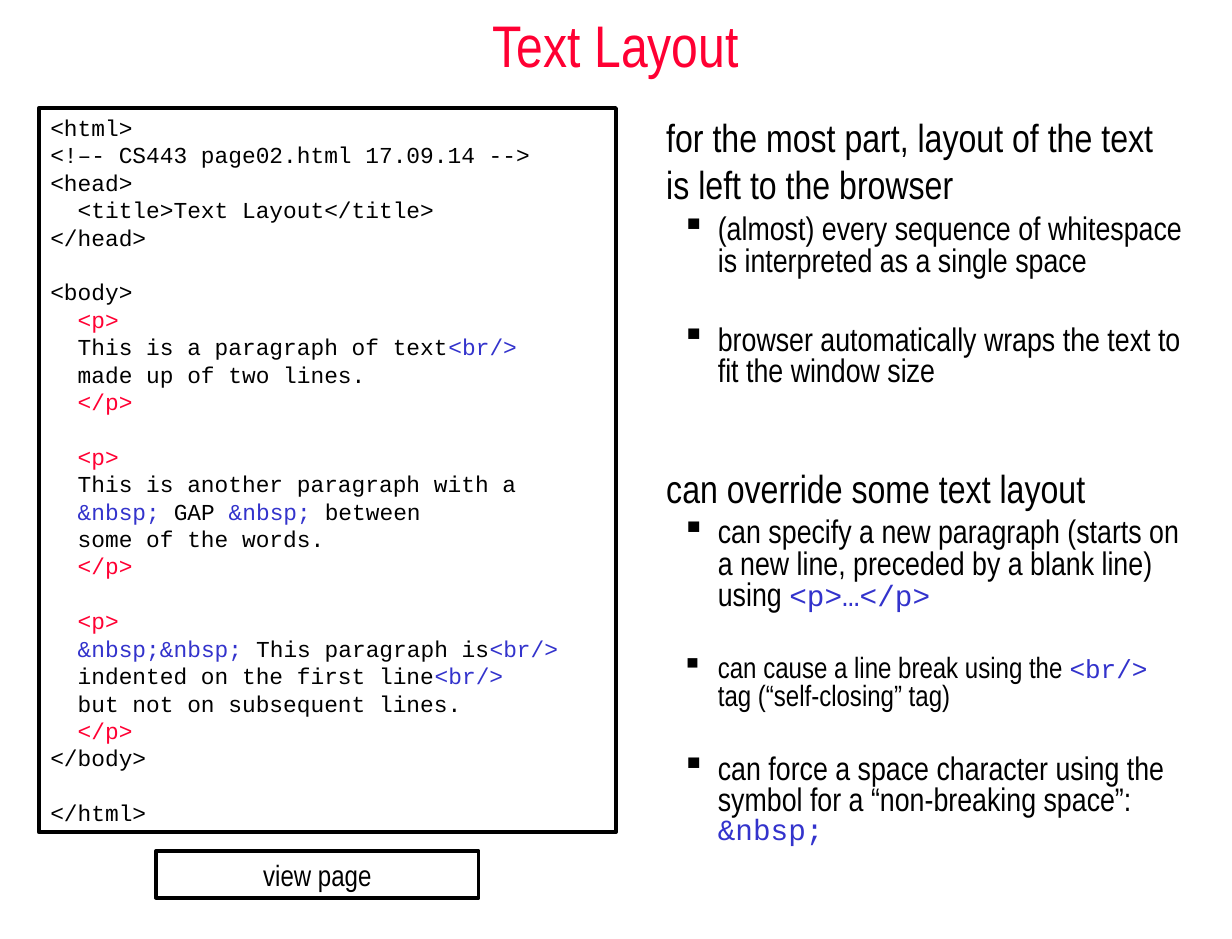
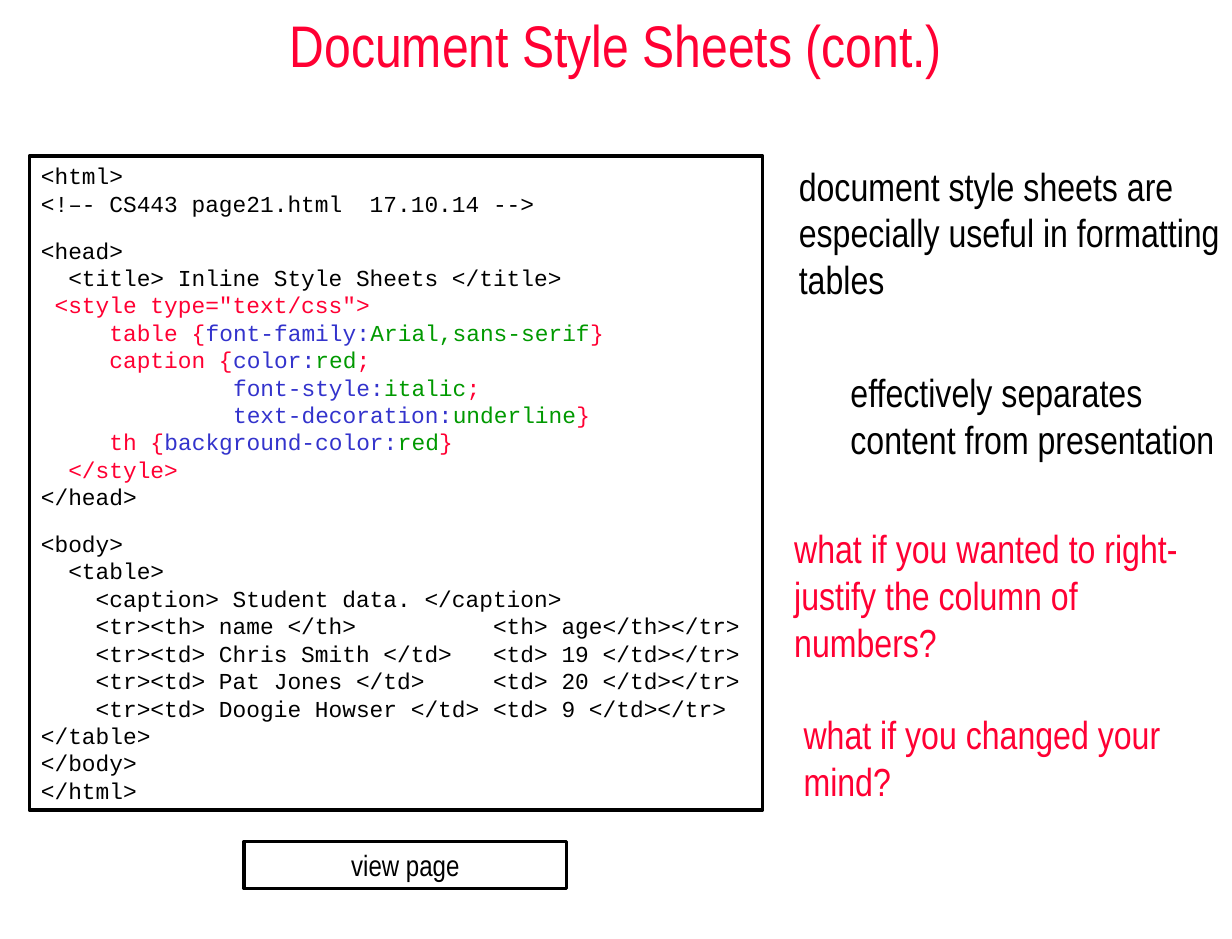
from lxml import etree
from pptx import Presentation
from pptx.dml.color import RGBColor
from pptx.enum.shapes import MSO_SHAPE as Shape
from pptx.enum.text import MSO_ANCHOR as Anchor, MSO_AUTO_SIZE as AutoSize, PP_ALIGN as Align
from pptx.oxml.ns import qn
from pptx.util import Inches, Pt

BLACK, RED, BLUE, GREEN = "000000", "FF0033", "3333CC", "009900"
NARROW, MONO = "Arial Narrow", "Courier New"
TITLE_ONLY = 5
CODE_SIZE = 14
LINE_FACTOR = 1.2

OPEN_P = ["  ", ("<p>", RED)]
CLOSE_P = ["  ", ("</p>", RED)]
BREAK = ("<br/>", BLUE)
NBSP = ("&nbsp;", BLUE)


def css(lead, name, value, end):
    """One style declaration as coloured code segments."""
    return [(lead, RED), (f"{name}:", BLUE), (value, GREEN), (end, RED)]


# An empty line in a listing is drawn as space before the next line.
LAYOUT_CODE = [
    "<html>",
    "<!–- CS443 page02.html 17.09.14 -->",
    "<head>",
    "  <title>Text Layout</title>",
    "</head>",
    "",
    "<body>",
    OPEN_P,
    ["  This is a paragraph of text", BREAK],
    "  made up of two lines.",
    CLOSE_P,
    "",
    OPEN_P,
    "  This is another paragraph with a",
    ["  ", NBSP, " GAP ", NBSP, " between"],
    "  some of the words.",
    CLOSE_P,
    "",
    OPEN_P,
    ["  ", ("&nbsp;&nbsp;", BLUE), " This paragraph is", BREAK],
    ["  indented on the first line", BREAK],
    "  but not on subsequent lines.",
    CLOSE_P,
    "</body>",
    "",
    "</html>",
]

STYLE_CODE = [
    "<html>",
    "<!–- CS443 page21.html  17.10.14 -->",
    "",
    "<head>",
    "  <title> Inline Style Sheets </title>",
    [" ", ('<style type="text/css">', RED)],
    css("     table {", "font-family", "Arial,sans-serif", "}"),
    css("     caption {", "color", "red", ";"),
    css("              ", "font-style", "italic", ";"),
    css("              ", "text-decoration", "underline", "}"),
    css("     th {", "background-color", "red", "}"),
    [("  </style>", RED)],
    "</head>",
    "",
    "<body>",
    "  <table>",
    "    <caption> Student data. </caption>",
    "    <tr><th> name </th>          <th> age</th></tr>",
    "    <tr><td> Chris Smith </td>   <td> 19 </td></tr>",
    "    <tr><td> Pat Jones </td>     <td> 20 </td></tr>",
    "    <tr><td> Doogie Howser </td> <td> 9 </td></tr>",
    "</table>",
    "</body>",
    "</html>",
]


def rgb(value):
    return RGBColor.from_string(value)


def add_run(paragraph, text, size, font=NARROW, colour=BLACK):
    run = paragraph.add_run()
    run.text = text
    run.font.name = font
    run.font.size = Pt(size)
    run.font.color.rgb = rgb(colour)


def next_paragraph(frame, **format_values):
    """Use the empty first paragraph, or add one, and format it."""
    first = frame.paragraphs[0]
    paragraph = frame.add_paragraph() if first.runs else first
    for name, value in format_values.items():
        setattr(paragraph, name, value)
    return paragraph


def indent(paragraph, left, first_line=0.0):
    properties = paragraph._p.get_or_add_pPr()
    properties.set("marL", str(Inches(left)))
    properties.set("indent", str(Inches(first_line)))
    return properties


def add_title(slide, text):
    title = slide.shapes.title
    title.left, title.top = Inches(0), Inches(0)
    title.width, title.height = Inches(10.5), Inches(0.75)
    frame = title.text_frame
    frame.auto_size = AutoSize.NONE
    frame.vertical_anchor = Anchor.MIDDLE
    add_run(next_paragraph(frame, alignment=Align.CENTER), text, 36, colour=RED)


def add_text_box(slide, left, top, width, height):
    box = slide.shapes.add_textbox(*map(Inches, (left, top, width, height)))
    box.text_frame.word_wrap = True
    return box.text_frame


def add_frame(slide, left, top, width, height):
    """Outlined rectangle without fill; returns its text frame."""
    shape = slide.shapes.add_shape(Shape.RECTANGLE, *map(Inches, (left, top, width, height)))
    shape.shadow.inherit = False
    shape.fill.background()
    shape.line.color.rgb = rgb(BLACK)
    shape.line.width = Pt(2.25)
    shape.text_frame.word_wrap = True
    shape.text_frame.vertical_anchor = Anchor.TOP
    return shape.text_frame


def add_code(slide, left, top, width, height, lines, blank_size=CODE_SIZE):
    frame = add_frame(slide, left, top, width, height)
    gap = 0
    for line in lines:
        if not line:
            gap = blank_size * LINE_FACTOR
            continue
        paragraph = next_paragraph(
            frame, alignment=Align.LEFT, space_before=Pt(gap),
            line_spacing=Pt(CODE_SIZE * LINE_FACTOR))
        for segment in [line] if isinstance(line, str) else line:
            text, colour = (segment, BLACK) if isinstance(segment, str) else segment
            add_run(paragraph, text, CODE_SIZE, MONO, colour)
        gap = 0


def add_button(slide, left, top):
    frame = add_frame(slide, left, top, 2.75, 0.4)
    add_run(next_paragraph(frame, alignment=Align.CENTER), "view page", 18)


def add_point(frame, text, gap=0.0, colour=BLACK):
    paragraph = next_paragraph(frame, space_before=Pt(gap))
    add_run(paragraph, text, 24, colour=colour)
    return paragraph


def add_bullet(frame, gap, *runs):
    """Each run holds text, size and, optionally, font and colour."""
    paragraph = next_paragraph(frame, level=1, space_before=Pt(gap), line_spacing=0.8)
    properties = indent(paragraph, 0.44, -0.31)
    colour = etree.SubElement(properties, qn("a:buClr"))
    etree.SubElement(colour, qn("a:srgbClr"), val=BLACK)
    etree.SubElement(properties, qn("a:buChar"), char="▪")
    for run in runs:
        add_run(paragraph, *run)


def build_text_layout(slide):
    add_title(slide, "Text Layout")
    notes = add_text_box(slide, 5.58, 0.92, 4.6, 6.67)
    add_point(notes, "for the most part, layout of the text is left to the browser")
    add_bullet(notes, 5, ("(almost) every sequence of whitespace is interpreted as a single space", 20))
    add_bullet(notes, 29.2, ("browser automatically wraps the text to fit the window size", 20))
    add_point(notes, "can override some text layout", gap=46.6)
    add_bullet(
        notes, 4.5,
        ("can specify a new paragraph (starts on a new line, preceded by a blank line) using ", 20),
        ("<p>…</p>", 18, MONO, BLUE))
    add_bullet(
        notes, 26.3,
        ("can cause a line break using the ", 18),
        ("<br/> ", 16, MONO, BLUE),
        ("tag (“self-closing” tag)", 18))
    add_bullet(
        notes, 26.3,
        ("can force a space character using the symbol for a “non-breaking space”: ", 20),
        ("&nbsp;", 18, MONO, BLUE))
    add_code(slide, 0.33, 0.92, 4.92, 6.17, LAYOUT_CODE)
    add_button(slide, 1.33, 7.25)


def build_style_sheets(slide):
    add_title(slide, "Document Style Sheets (cont.)")
    notes = add_text_box(slide, 6.71, 1.33, 3.8, 2.92)
    add_point(notes, "document style sheets are especially useful in formatting tables")
    indent(add_point(notes, "effectively separates content from presentation", gap=40.4), 0.44)
    add_code(slide, 0.25, 1.33, 6.25, 5.57, STYLE_CODE, blank_size=10)
    for left, top, height, question in [
        (6.67, 4.42, 1.33, "what if you wanted to right-justify the column of numbers?"),
        (6.75, 6, 0.92, "what if you changed your mind?"),
    ]:
        add_point(add_text_box(slide, left, top, 3.52, height), question, colour=RED)
    add_button(slide, 2.08, 7.17)


def main():
    presentation = Presentation()
    presentation.slide_width = Inches(10.5)
    presentation.slide_height = Inches(8)
    for build in (build_text_layout, build_style_sheets):
        build(presentation.slides.add_slide(presentation.slide_layouts[TITLE_ONLY]))
    presentation.save("out.pptx")


if __name__ == "__main__":
    main()
